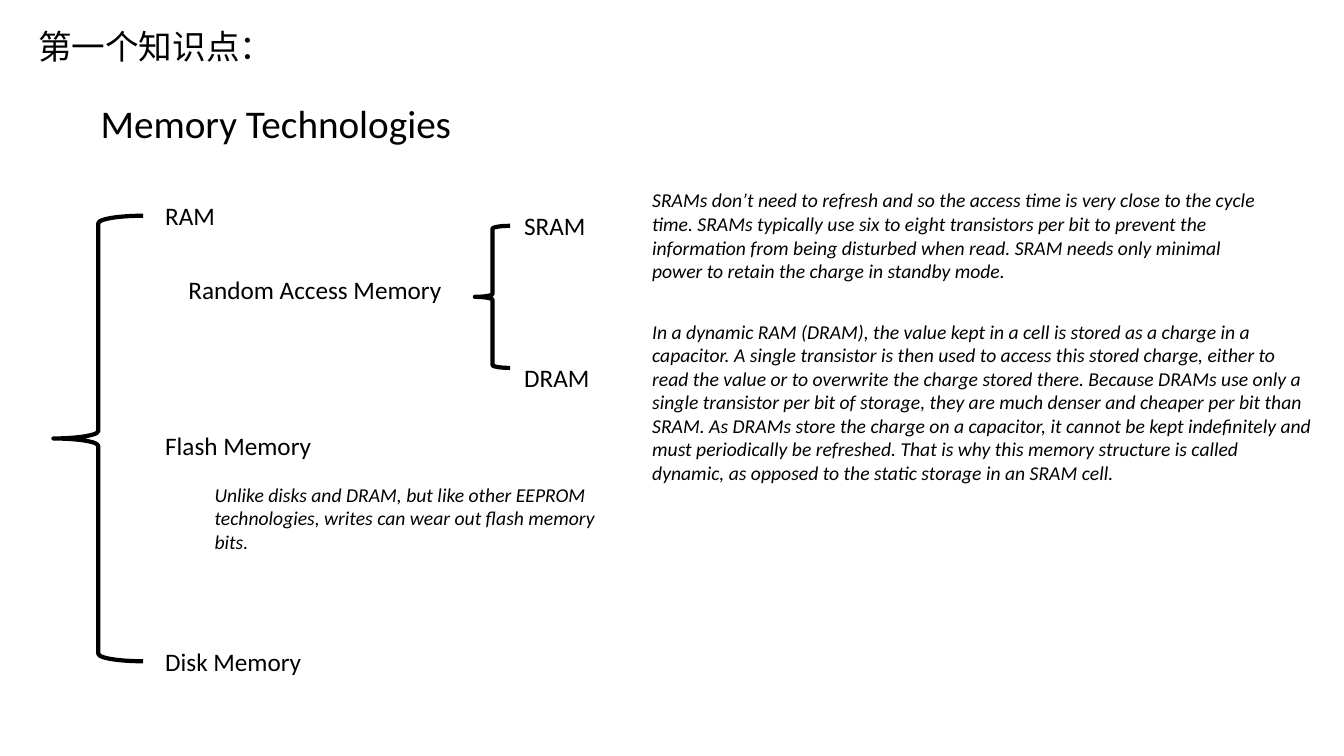
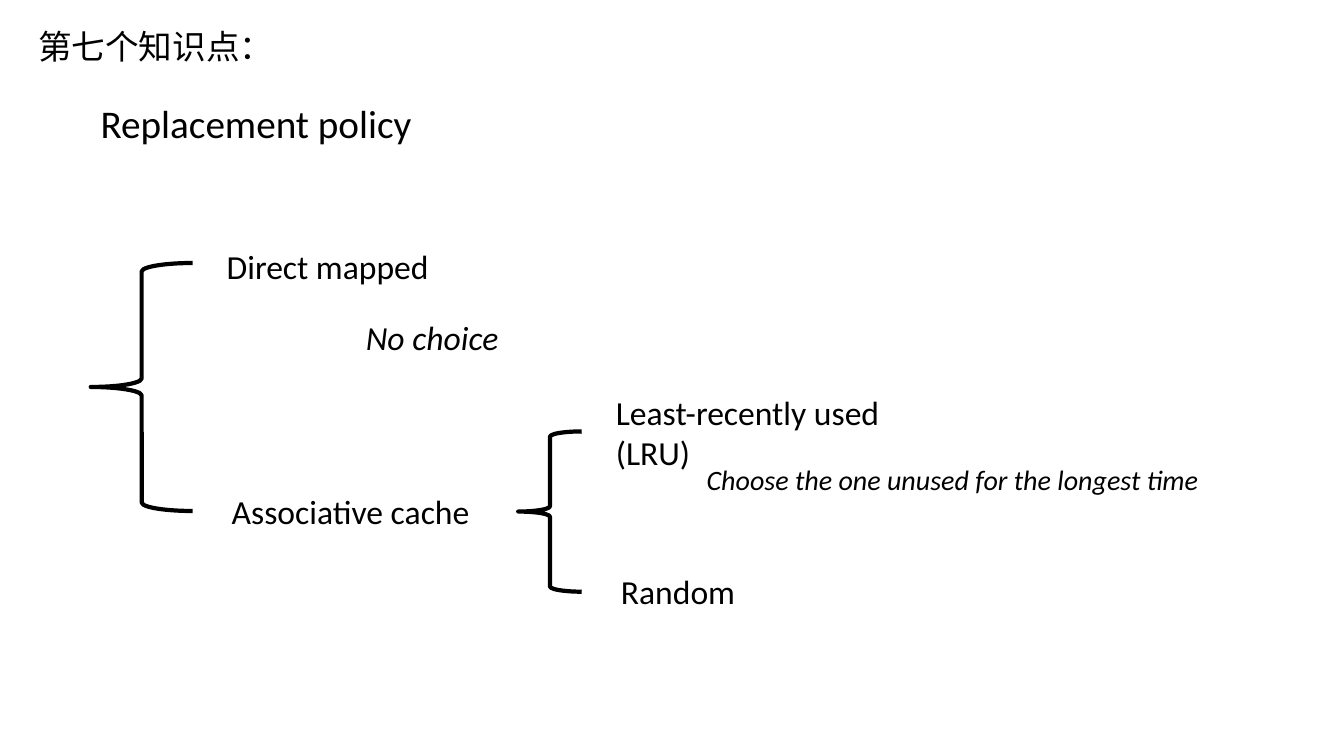
from lxml import etree
from pptx import Presentation
from pptx.dml.color import RGBColor
from pptx.enum.shapes import MSO_SHAPE
from pptx.enum.text import MSO_AUTO_SIZE
from pptx.oxml.ns import qn
from pptx.util import Inches, Pt

BLACK = "000000"
LATIN_FONT = "Calibri"
CHINESE_FONT = "Noto Sans CJK SC"
STYLES = {
    "heading": {"size": Pt(24), "name": CHINESE_FONT},
    "topic": {"size": Pt(28), "name": LATIN_FONT},
    "branch": {"size": Pt(18), "name": LATIN_FONT},
    "large branch": {"size": Pt(24), "name": LATIN_FONT},
    "note": {"size": Pt(14), "name": LATIN_FONT, "italic": True},
    "medium note": {"size": Pt(20), "name": LATIN_FONT, "italic": True},
    "large note": {"size": Pt(24), "name": LATIN_FONT, "italic": True},
}

# Each label is left, top, width, height, style, text; each brace is a box.
SLIDES = [
    {
        "heading": "第一个知识点：",
        "topic": "Memory Technologies",
        "braces": [(0.53, 2.14, 0.89, 4.42), (4.71, 2.24, 0.35, 1.41)],
        "labels": [
            (1.54, 1.94, 1.15, 0.4, "branch", "RAM"),
            (1.77, 2.67, 3.11, 0.4, "branch", "Random Access Memory"),
            (5.1, 2.04, 1.15, 0.4, "branch", "SRAM"),
            (5.1, 3.55, 0.92, 0.4, "branch", "DRAM"),
            (6.37, 1.82, 6.3, 1.04, "note",
             "SRAMs don’t need to refresh and so the access time is very close "
             "to the cycle time. SRAMs typically use six to eight transistors "
             "per bit to prevent the information from being disturbed when "
             "read. SRAM needs only minimal power to retain the charge in "
             "standby mode."),
            (6.37, 3.12, 6.75, 1.75, "note",
             "In a dynamic RAM (DRAM), the value kept in a cell is stored as a "
             "charge in a capacitor. A single transistor is then used to "
             "access this stored charge, either to read the value or to "
             "overwrite the charge stored there. Because DRAMs use only a "
             "single transistor per bit of storage, they are much denser and "
             "cheaper per bit than SRAM. As DRAMs store the charge on a "
             "capacitor, it cannot be kept indefinitely and must periodically "
             "be refreshed. That is why this memory structure is called "
             "dynamic, as opposed to the static storage in an SRAM cell."),
            (1.54, 4.22, 1.73, 0.4, "branch", "Flash Memory"),
            (2.03, 4.74, 4.34, 0.57, "note",
             "Unlike disks and DRAM, but like other EEPROM technologies, "
             "writes can wear out flash memory bits."),
            (1.54, 6.36, 1.57, 0.4, "branch", "Disk Memory"),
        ],
    },
    {
        "heading": "第七个知识点：",
        "topic": "Replacement policy",
        "braces": [(0.9, 2.61, 1.01, 2.46), (5.14, 4.28, 0.63, 1.59)],
        "labels": [
            (2.15, 2.39, 2.3, 0.5, "large branch", "Direct mapped"),
            (2.2, 4.82, 2.64, 0.5, "large branch", "Associative cache"),
            (3.53, 3.09, 2.17, 0.5, "large note", "No choice"),
            (6.01, 3.84, 3.61, 0.5, "large branch", "Least-recently used (LRU)"),
            (6.06, 5.61, 3.61, 0.5, "large branch", "Random"),
            (6.91, 4.54, 5.52, 0.44, "medium note",
             "Choose the one unused for the longest time"),
        ],
    },
]
UNWRAPPED = {"Flash Memory", "Disk Memory"}


def set_color(color_format, hex_color):
    color_format.rgb = RGBColor.from_string(hex_color)


def add_label(slide, left, top, width, height, style, text):
    box = slide.shapes.add_textbox(*map(Inches, (left, top, width, height)))
    frame = box.text_frame
    frame.word_wrap = text not in UNWRAPPED
    frame.auto_size = MSO_AUTO_SIZE.SHAPE_TO_FIT_TEXT
    run = frame.paragraphs[0].add_run()
    run.text = text
    set_color(run.font.color, BLACK)
    for attribute, value in STYLES[style].items():
        setattr(run.font, attribute, value)
    # East Asian characters take their font from a separate element.
    properties = run.font._element if hasattr(run.font, "_element") else run._r.get_or_add_rPr()
    etree.SubElement(properties, qn("a:ea"), typeface=CHINESE_FONT)


presentation = Presentation()
presentation.slide_width = Inches(13.33)
presentation.slide_height = Inches(7.5)
blank_layout = presentation.slide_layouts[6]

for content in SLIDES:
    slide = presentation.slides.add_slide(blank_layout)
    add_label(slide, 0.28, 0.21, 3.84, 0.5, "heading", content["heading"])
    add_label(slide, 0.9, 0.94, 3.84, 0.57, "topic", content["topic"])
    for box in content["braces"]:
        brace = slide.shapes.add_shape(MSO_SHAPE.LEFT_BRACE, *map(Inches, box))
        brace.shadow.inherit = False
        brace.fill.background()
        set_color(brace.line.color, BLACK)
        brace.line.width = Pt(3)
    for label in content["labels"]:
        add_label(slide, *label)

presentation.save("out.pptx")
